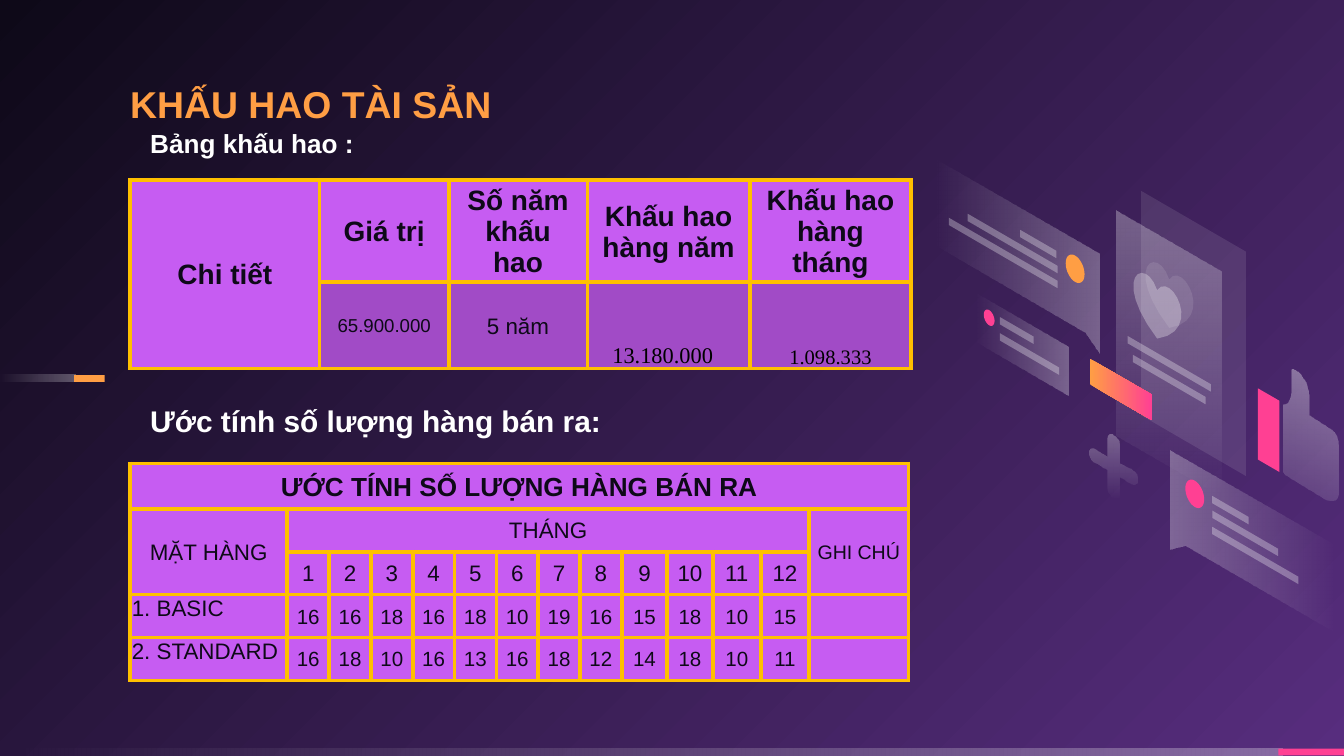
"""Build the slide on asset depreciation and estimated sales volumes."""
from math import cos, pi, sin

from lxml.etree import SubElement
from pptx import Presentation
from pptx.dml.color import RGBColor
from pptx.enum.shapes import MSO_SHAPE
from pptx.enum.text import MSO_ANCHOR, PP_ALIGN
from pptx.oxml.ns import qn
from pptx.util import Cm, Pt

WHITE = RGBColor(0xFF, 0xFF, 0xFF)
BLACK = RGBColor(0x00, 0x00, 0x00)
INK = RGBColor(0x0E, 0x09, 0x18)
PURPLE = RGBColor(0x57, 0x2D, 0x7E)
ORANGE = RGBColor(0xFF, 0x9E, 0x44)
PINK = RGBColor(0xFF, 0x40, 0x93)
GOLD = RGBColor(0xFF, 0xC0, 0x00)
VIOLET = RGBColor(0xC6, 0x5C, 0xF2)
DARK_VIOLET = RGBColor(0xA1, 0x4B, 0xC6)

GRID = Cm(2.54) / 100
SLOPE = 0.58
FADE = ((WHITE, 30), (WHITE, 0))
VEIL = ((WHITE, 30),)
FAINT = ((WHITE, 10),)
SOLID_PINK = ((PINK, 100),)
SOLID_ORANGE = ((ORANGE, 100),)


def paint(shape, stops, angle=0):
    shape.shadow.inherit = False
    shape.line.fill.background()
    if len(stops) == 1:
        shape.fill.solid()
        shape.fill.fore_color.rgb = stops[0][0]
    else:
        shape.fill.gradient()
        shape.fill.gradient_angle = (360 - angle) % 360
        for gradient_stop, (colour, _) in zip(shape.fill.gradient_stops, stops):
            gradient_stop.color.rgb = colour
    for colour_node, (_, opacity) in zip(shape.element.spPr.iter(qn("a:srgbClr")), stops):
        if opacity < 100:
            SubElement(colour_node, qn("a:alpha"), val=str(opacity * 1000))


def write_cell(cell, text="", size=12, bold=False, font="Arial", colour=INK, fill=VIOLET,
               side=0.03, align=PP_ALIGN.CENTER, anchor=MSO_ANCHOR.MIDDLE):
    cell.fill.solid()
    cell.fill.fore_color.rgb = fill
    cell.margin_left = cell.margin_right = Cm(side)
    cell.margin_top, cell.margin_bottom = Cm(0.03), 0
    cell.vertical_anchor = anchor
    cell.text_frame.text = text
    paragraph = cell.text_frame.paragraphs[0]
    paragraph.alignment = align
    for run in paragraph.runs:
        run.font.size, run.font.bold, run.font.name = Pt(size), bold, font
        run.font.color.rgb = colour
    properties = cell._tc.get_or_add_tcPr()
    for position, edge in enumerate(("a:lnL", "a:lnR", "a:lnT", "a:lnB")):
        border = properties.makeelement(qn(edge), {"w": str(Pt(2.25))})
        SubElement(SubElement(border, qn("a:solidFill")), qn("a:srgbClr"), val=str(GOLD))
        properties.insert(position, border)


prs = Presentation()
prs.slide_width, prs.slide_height = Cm(25.4), Cm(14.29)
slide = prs.slides.add_slide(prs.slide_layouts[5])

backdrop = slide.background.fill
backdrop.gradient()
for gradient_stop, colour in zip(backdrop.gradient_stops, (PURPLE, INK)):
    gradient_stop.color.rgb = colour
direction = next(slide.element.iter(qn("a:lin")))
radial = direction.makeelement(qn("a:path"), {"path": "circle"})
SubElement(radial, qn("a:fillToRect"), l="100000", t="100000")
direction.getparent().replace(direction, radial)

for left, top, width, stops in (
    (0, 14.15, 24.23, FADE), (24.16, 14.15, 1.24, SOLID_PINK),
    (0, 7.09, 1.42, FADE), (1.4, 7.09, 0.58, SOLID_ORANGE),
):
    strip = slide.shapes.add_shape(MSO_SHAPE.RECTANGLE, Cm(left), Cm(top), Cm(width), Cm(0.13))
    paint(strip, stops, 180)

THUMB = [(970, 282), (967, 276, 962, 275, 962, 275), (961, 275, 961, 276, 961, 276), (961, 291),
         (961, 296, 959, 300, 956, 301), (955, 301, 955, 301, 955, 302), (955, 350),
         (955, 351, 956, 353, 958, 354), (986, 371), (992, 374, 995, 372, 996, 365), (996, 335),
         (996, 331, 995, 326, 993, 322), (991, 320, 990, 319, 988, 318), (974, 309), (974, 295),
         (974, 290, 972, 285, 970, 282)]
PLUS = [(828, 324), (831, 326, 833, 329, 833, 332), (833, 345), (841, 349),
        (844, 351, 846, 354, 846, 357), (846, 360, 844, 361, 841, 360), (833, 355), (833, 368),
        (833, 371, 831, 372, 828, 370), (826, 369, 824, 365, 824, 363), (824, 350), (816, 345),
        (813, 344, 811, 340, 811, 337), (811, 334, 813, 333, 816, 335), (824, 340), (824, 327),
        (824, 324, 826, 323, 828, 324)]
LEFT_BUBBLE = [(818, 189), (695, 118), (695, 182), (807, 247), (818, 263)]
RIGHT_BUBBLE = [(871, 335), (994, 406), (994, 471), (882, 406), (871, 409)]

illustration = (
    ("slab", (849, 142, 78, 167), FAINT, 0),
    ("heart", (870, 244), FAINT, 0),
    ("slab", (726, 218, 69, 36), FADE, 180),
    ("disc", (736, 236.5, 4), SOLID_PINK, 0),
    ("slab", (744, 236, 25, 5.5), VEIL, 0),
    ("slab", (744, 248, 44, 5.5), VEIL, 0),
    ("slab", (831, 157, 78, 167), FADE, 90),
    ("slab", (839, 250, 62, 5.5), VEIL, 0),
    ("slab", (843, 264, 54, 5.5), VEIL, 0),
    ("slab", (811, 267, 46, 19), ((ORANGE, 100), (PINK, 100)), 0),
    ("outline", THUMB, ((WHITE, 40), (WHITE, 10)), 110),
    ("slab", (936, 289, 16, 53), SOLID_PINK, 0),
    ("outline", LEFT_BUBBLE, FADE, 180),
    ("slab", (759, 171, 27, 5.5), VEIL, 0),
    ("slab", (720, 159, 67, 5.5), VEIL, 0),
    ("slab", (706, 162, 81, 5.5), VEIL, 0),
    ("disc", (800, 200, 7), SOLID_ORANGE, 0),
    ("outline", RIGHT_BUBBLE, FADE, 0),
    ("slab", (902, 369, 27, 5.5), VEIL, 0),
    ("slab", (902, 380, 49, 5.5), VEIL, 0),
    ("slab", (902, 392, 64, 5.5), VEIL, 0),
    ("disc", (889, 367.5, 7), SOLID_PINK, 0),
    ("outline", PLUS, FADE, 90),
    ("heart", (861, 252), VEIL, 0),
)
for kind, geometry, stops, angle in illustration:
    if kind == "slab":
        x, y, width, height = geometry
        drop = SLOPE * width
        steps = [(x, y), (x + width, y + drop), (x + width, y + drop + height), (x, y + height)]
    elif kind == "disc":
        x, y, radius = geometry
        turns = [2 * pi * i / 32 for i in range(32)]
        steps = [(x + radius * cos(t), y + radius * (1.4 * sin(t) + SLOPE * cos(t))) for t in turns]
    elif kind == "heart":
        x, y = geometry
        steps = [(x, y), (x - 35, y - 46, x - 9, y - 63, x, y - 36),
                 (x + 10, y - 51, x + 35, y - 5, x, y)]
    else:
        steps = geometry
    points = []
    for step in steps:
        if len(step) == 2:
            points.append(step)
            continue
        controls = (points[-1], step[:2], step[2:4], step[4:])
        for t in [i / 12 for i in range(1, 13)]:
            weights = ((1 - t) ** 3, 3 * t * (1 - t) ** 2, 3 * t ** 2 * (1 - t), t ** 3)
            points.append(tuple(sum(w * c[axis] for w, c in zip(weights, controls)) for axis in (0, 1)))
    points = [(x * GRID, y * GRID) for x, y in points]
    builder = slide.shapes.build_freeform(*points[0])
    builder.add_line_segments(points[1:], close=True)
    paint(builder.convert_to_shape(), stops, angle)

for heading, text, size, colour, left, top, width, height in (
    (slide.shapes.title, "KHẤU HAO TÀI SẢN", 20, ORANGE, 2.46, 1.09, 8.28, 1.3),
    (slide.shapes.add_textbox(0, 0, 0, 0), "Bảng khấu hao :", 14, WHITE, 2.84, 2.39, 5.92, 0.61),
    (slide.shapes.add_textbox(0, 0, 0, 0), "Ước tính số lượng hàng bán ra:", 16, WHITE,
     2.84, 6.99, 9.53, 1.3),
):
    heading.left, heading.top, heading.width, heading.height = map(Cm, (left, top, width, height))
    frame = heading.text_frame
    frame.text, frame.word_wrap, frame.vertical_anchor = text, True, MSO_ANCHOR.BOTTOM
    frame.margin_left = frame.margin_right = frame.margin_top = frame.margin_bottom = 0
    paragraph = frame.paragraphs[0]
    paragraph.alignment, paragraph.line_spacing = PP_ALIGN.LEFT, 0.9
    font = paragraph.runs[0].font
    font.size, font.bold, font.name, font.color.rgb = Pt(size), True, "Arial", colour

tables = []
for top, widths, heights in (
    (3.4, [3.58, 2.44, 2.62, 3.07, 3.05], [1.63] * 2),
    (8.76, [2.97] + [0.79] * 8 + [0.86] * 2 + [0.91] * 2 + [1.88], [0.86] + [0.81] * 4),
):
    table = slide.shapes.add_table(len(heights), len(widths), Cm(2.46), Cm(top),
                                   Cm(sum(widths)), Cm(sum(heights))).table
    table.first_row = table.horz_banding = False
    for column, width in zip(table.columns, widths):
        column.width = Cm(width)
    for row, height in zip(table.rows, heights):
        row.height = Cm(height)
    tables.append(table)
depreciation, sales = tables

for column, label in enumerate(("Chi tiết", "Giá trị", "Số năm khấu hao", "Khấu hao hàng năm",
                                "Khấu hao hàng tháng")):
    write_cell(depreciation.cell(0, column), label, 15, True, side=0.18)
write_cell(depreciation.cell(1, 0))
write_cell(depreciation.cell(1, 1), "65.900.000", 10, fill=DARK_VIOLET, side=0.18)
write_cell(depreciation.cell(1, 2), "5 năm", fill=DARK_VIOLET, side=0.18)
for column, amount, size in ((3, "13.180.000", 12), (4, "1.098.333", 11)):
    write_cell(depreciation.cell(1, column), amount, size, font="Times New Roman", colour=BLACK,
               fill=DARK_VIOLET, anchor=MSO_ANCHOR.BOTTOM)
depreciation.cell(1, 3).margin_right = Cm(0.25)
depreciation.cell(0, 0).merge(depreciation.cell(1, 0))

sales_rows = (
    ["ƯỚC TÍNH SỐ LƯỢNG HÀNG BÁN RA"] + [""] * 13,
    ["MẶT HÀNG", "THÁNG"] + [""] * 11 + ["GHI CHÚ"],
    ["", *range(1, 13), ""],
    ["1. BASIC", 16, 16, 18, 16, 18, 10, 19, 16, 15, 18, 10, 15, ""],
    ["2. STANDARD", 16, 18, 10, 16, 13, 16, 18, 12, 14, 18, 10, 11, ""],
)
for row, (values, size) in enumerate(zip(sales_rows, (14, 12, 12, 11, 11))):
    for column, value in enumerate(values):
        write_cell(sales.cell(row, column), str(value), 10.5 if value == "GHI CHÚ" else size, row == 0)
for row in (3, 4):
    product = sales.cell(row, 0)
    product.vertical_anchor = MSO_ANCHOR.TOP
    paragraph = product.text_frame.paragraphs[0]
    paragraph.alignment = PP_ALIGN.LEFT
    paragraph.space_before = paragraph.space_after = Pt(6)
    paragraph.runs[0].font.size = Pt(12)
for first, last in (((0, 0), (0, 13)), ((1, 0), (2, 0)), ((1, 1), (1, 12)), ((1, 13), (2, 13))):
    sales.cell(*first).merge(sales.cell(*last))

prs.save("out.pptx")
